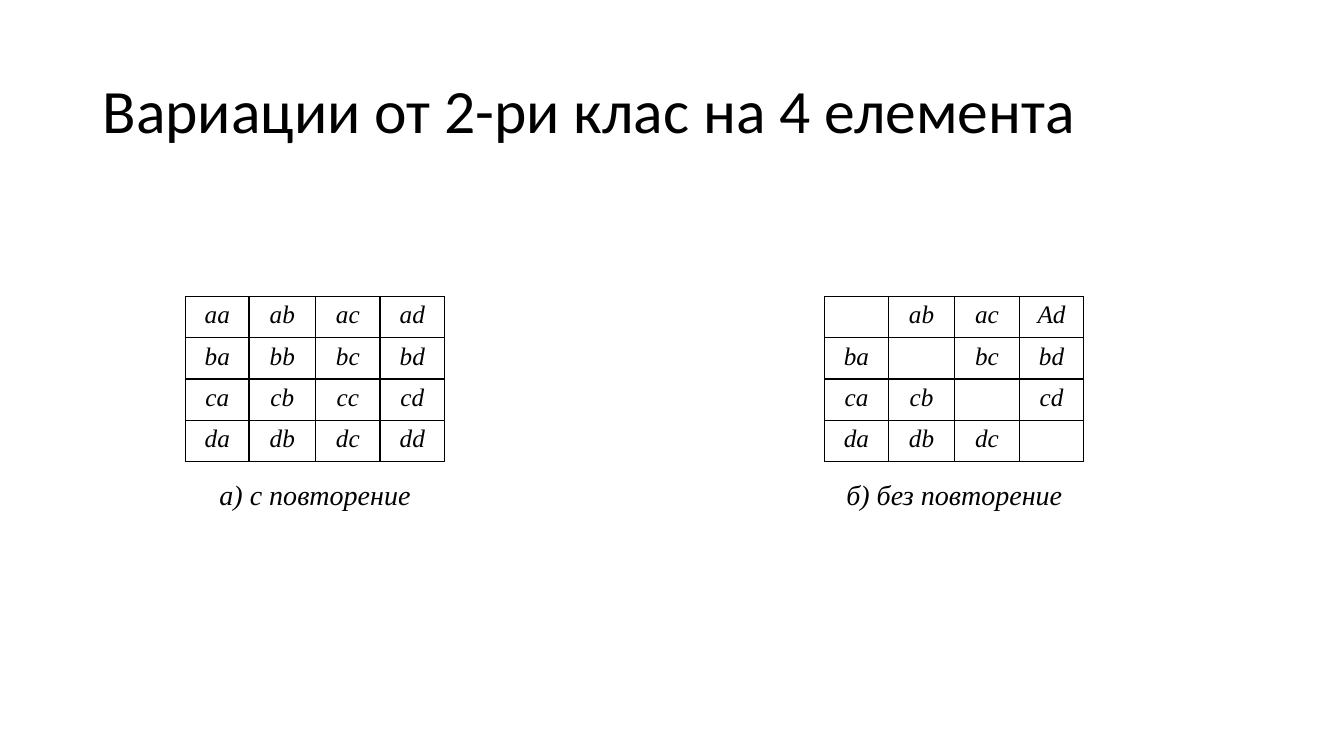
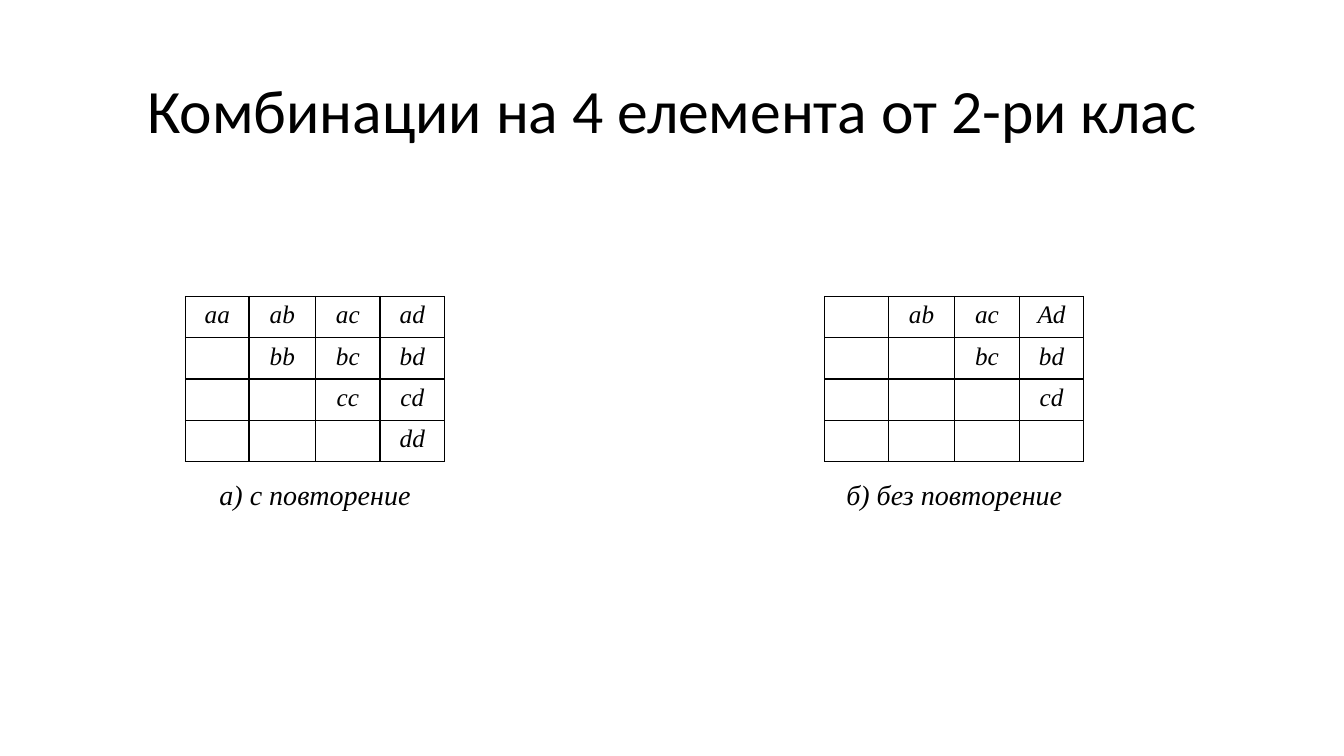
from dataclasses import dataclass

from lxml import etree
from pptx import Presentation
from pptx.dml.color import RGBColor
from pptx.enum.text import MSO_ANCHOR, PP_ALIGN
from pptx.oxml.ns import qn
from pptx.util import Inches, Pt

LEFT, CENTER = PP_ALIGN.LEFT, PP_ALIGN.CENTER
TOP, MIDDLE = MSO_ANCHOR.TOP, MSO_ANCHOR.MIDDLE


@dataclass(frozen=True)
class Theme:
    ink: RGBColor = RGBColor(0x00, 0x00, 0x00)
    title_font: str = "Calibri"
    body_font: str = "Times New Roman"
    title_size: int = 44
    caption_size: int = 20
    cell_size: int = 18
    border_width: int = 1
    line_spacing: float = 0.9


THEME = Theme()

# Lengths in inches
SLIDE_WIDTH, SLIDE_HEIGHT = 13.33, 7.5
TITLE_BOX = (0.92, 0.4, 11.5, 1.45)
COLUMN_WIDTHS = (0.63, 0.66, 0.64, 0.64)
ROW_HEIGHT = 0.41
PANEL_TOP = 2.94
PANEL_LEFTS = (1.84, 8.18)
CAPTION_GAP = 0.15
CAPTION_HEIGHT = 0.42

CAPTIONS = ("а) с повторение", "б) без повторение")

# Each slide: title, alignment, and the rows of its two grids ("-" is an empty cell)
SLIDES = (
    ("Вариации от 2-ри клас на 4 елемента", LEFT, (
        ("aa ab ac ad", "ba bb bc bd", "ca cb cc cd", "da db dc dd"),
        ("- ab ac Ad", "ba - bc bd", "ca cb - cd", "da db dc -"),
    )),
    ("Комбинации на 4 елемента от 2-ри клас", CENTER, (
        ("aa ab ac ad", "- bb bc bd", "- - cc cd", "- - - dd"),
        ("- ab ac Ad", "- - bc bd", "- - - cd", "- - - -"),
    )),
)


def style_paragraph(paragraph, font_name, size, alignment, italic=False):
    paragraph.alignment = alignment
    paragraph.font.name = font_name
    paragraph.font.size = Pt(size)
    paragraph.font.italic = italic
    paragraph.font.color.rgb = THEME.ink


def add_text(slide, box, text, anchor, *style):
    shape = slide.shapes.add_textbox(*map(Inches, box))
    frame = shape.text_frame
    frame.word_wrap = True
    frame.vertical_anchor = anchor
    paragraph = frame.paragraphs[0]
    paragraph.text = text
    paragraph.line_spacing = THEME.line_spacing
    style_paragraph(paragraph, *style)


def add_borders(cell):
    properties = cell._tc.get_or_add_tcPr()
    for side in ("a:lnL", "a:lnR", "a:lnT", "a:lnB"):
        line = etree.SubElement(properties, qn(side), w=str(Pt(THEME.border_width)))
        fill = etree.SubElement(line, qn("a:solidFill"))
        etree.SubElement(fill, qn("a:srgbClr"), val=str(THEME.ink))


def add_pair_table(slide, left, top, rows):
    shape = slide.shapes.add_table(
        len(rows), len(COLUMN_WIDTHS), Inches(left), Inches(top),
        Inches(sum(COLUMN_WIDTHS)), Inches(ROW_HEIGHT * len(rows)))
    table = shape.table
    table.first_row = table.horz_banding = False
    for column, width in zip(table.columns, COLUMN_WIDTHS):
        column.width = Inches(width)
    for table_row, row in zip(table.rows, rows):
        table_row.height = Inches(ROW_HEIGHT)
        for cell, pair in zip(table_row.cells, row.split()):
            cell.text = pair.replace("-", "")
            add_borders(cell)
            cell.fill.background()
            style_paragraph(cell.text_frame.paragraphs[0], THEME.body_font,
                            THEME.cell_size, CENTER, True)


def add_panel(slide, left, top, rows, caption):
    """Grid of pairs with its caption centred below."""
    add_pair_table(slide, left, top, rows)
    caption_top = top + ROW_HEIGHT * len(rows) + CAPTION_GAP
    add_text(slide, (left, caption_top, sum(COLUMN_WIDTHS), CAPTION_HEIGHT), caption,
             TOP, THEME.body_font, THEME.caption_size, CENTER, True)


def add_pairs_slide(presentation, title, alignment, grids):
    slide = presentation.slides.add_slide(presentation.slide_layouts[6])
    add_text(slide, TITLE_BOX, title, MIDDLE,
             THEME.title_font, THEME.title_size, alignment)
    for left, rows, caption in zip(PANEL_LEFTS, grids, CAPTIONS):
        add_panel(slide, left, PANEL_TOP, rows, caption)


def main():
    presentation = Presentation()
    presentation.slide_width = Inches(SLIDE_WIDTH)
    presentation.slide_height = Inches(SLIDE_HEIGHT)
    for title, alignment, grids in SLIDES:
        add_pairs_slide(presentation, title, alignment, grids)
    presentation.save("out.pptx")


if __name__ == "__main__":
    main()
